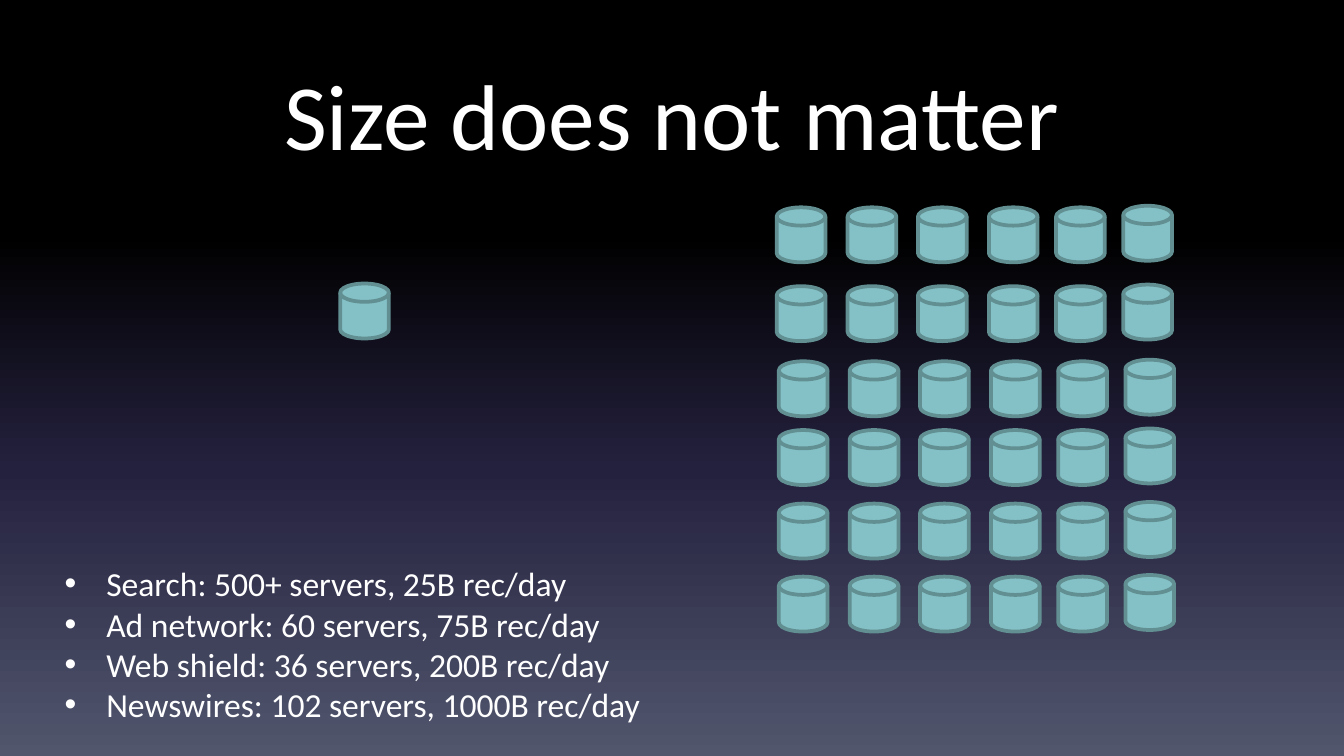
from lxml import etree
from pptx import Presentation
from pptx.dml.color import RGBColor
from pptx.enum.shapes import MSO_SHAPE
from pptx.enum.text import MSO_ANCHOR, PP_ALIGN
from pptx.oxml.ns import qn
from pptx.util import Cm, Pt

DISK = MSO_SHAPE.FLOWCHART_MAGNETIC_DISK
MIDDLE = MSO_ANCHOR.MIDDLE
CENTER = PP_ALIGN.CENTER
LEFT = PP_ALIGN.LEFT

TITLE = "Size does not matter"
DEPLOYMENTS = [
    "Search: 500+ servers, 25B rec/day",
    "Ad network: 60 servers, 75B rec/day",
    "Web shield: 36 servers, 200B rec/day",
    "Newswires: 102 servers, 1000B rec/day",
]
BACKGROUND_STOPS = [(0, "000000"), (31, "000000"), (62, "24213E"), (100, "51566D")]
FONT = "Calibri"
WHITE = "FFFFFF"
DISK_FILL = "83C1C6"
DISK_LINE = "618F92"

DISK_SIZE = (0.92, 1.04)
SINGLE_SERVER = (6.43, 5.36)
CLUSTER_COLUMNS = [14.68, 16.02, 17.35, 18.69, 19.96, 21.23]
CLUSTER_ROWS = [3.92, 5.41, 6.83, 8.13, 9.52, 10.9]
LOWER_ROWS_SHIFT = 0.04
LAST_COLUMN_LIFT = 0.03


def color(value):
    return RGBColor.from_string(value)


def paint_background(slide):
    fill = slide.background.fill
    fill.gradient()
    fill.gradient_angle = 270
    stops = slide.element.find(".//" + qn("a:gsLst"))
    for stop in list(stops):
        stops.remove(stop)
    for position, value in BACKGROUND_STOPS:
        stop = etree.SubElement(stops, qn("a:gs"), pos=str(position * 1000))
        etree.SubElement(stop, qn("a:srgbClr"), val=value)


def add_disk(shapes, left, top):
    width, height = DISK_SIZE
    disk = shapes.add_shape(DISK, Cm(left), Cm(top), Cm(width), Cm(height))
    disk.shadow.inherit = False
    disk.fill.solid()
    disk.fill.fore_color.rgb = color(DISK_FILL)
    disk.line.color.rgb = color(DISK_LINE)
    disk.line.width = Pt(2)


def add_cluster(slide):
    cluster = slide.shapes.add_group_shape()
    for row, top in enumerate(CLUSTER_ROWS):
        shift = LOWER_ROWS_SHIFT if row >= 2 else 0
        for left in CLUSTER_COLUMNS:
            lift = LAST_COLUMN_LIFT if left == CLUSTER_COLUMNS[-1] else 0
            add_disk(cluster.shapes, left + shift, top - lift)


def add_text(slide, box, lines, size, alignment):
    text_box = slide.shapes.add_textbox(*[Cm(length) for length in box])
    text_frame = text_box.text_frame
    text_frame.word_wrap = True
    text_frame.text = "\n".join(lines)
    for paragraph in text_frame.paragraphs:
        paragraph.alignment = alignment
        for run in paragraph.runs:
            run.font.name = FONT
            run.font.size = Pt(size)
            run.font.color.rgb = color(WHITE)
    return text_frame


def add_bullets(text_frame, indent):
    for paragraph in text_frame.paragraphs:
        properties = paragraph._p.get_or_add_pPr()
        properties.set("marL", str(Cm(indent)))
        properties.set("indent", str(-Cm(indent)))
        etree.SubElement(properties, qn("a:buFont"), typeface="Arial")
        etree.SubElement(properties, qn("a:buChar"), char="•")


def main():
    presentation = Presentation()
    presentation.slide_width = Cm(25.4)
    presentation.slide_height = Cm(14.29)
    slide = presentation.slides.add_slide(presentation.slide_layouts[6])

    paint_background(slide)
    add_disk(slide.shapes, *SINGLE_SERVER)
    add_cluster(slide)
    title = add_text(slide, (1.75, 0.76, 21.9, 2.76), [TITLE], 50, CENTER)
    title.vertical_anchor = MIDDLE
    deployments = add_text(slide, (0.97, 10.52, 13.72, 3.33), DEPLOYMENTS, 18, LEFT)
    add_bullets(deployments, 0.79)

    presentation.save("out.pptx")


if __name__ == "__main__":
    main()
